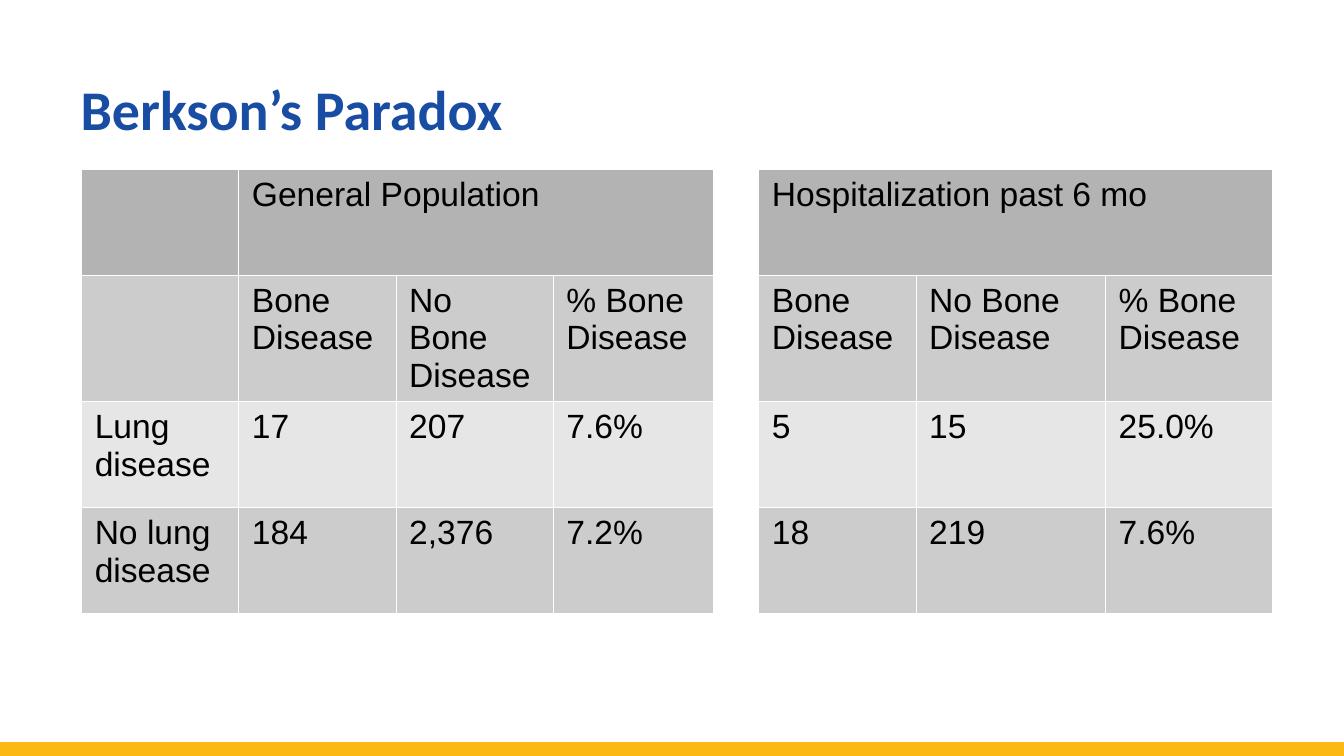
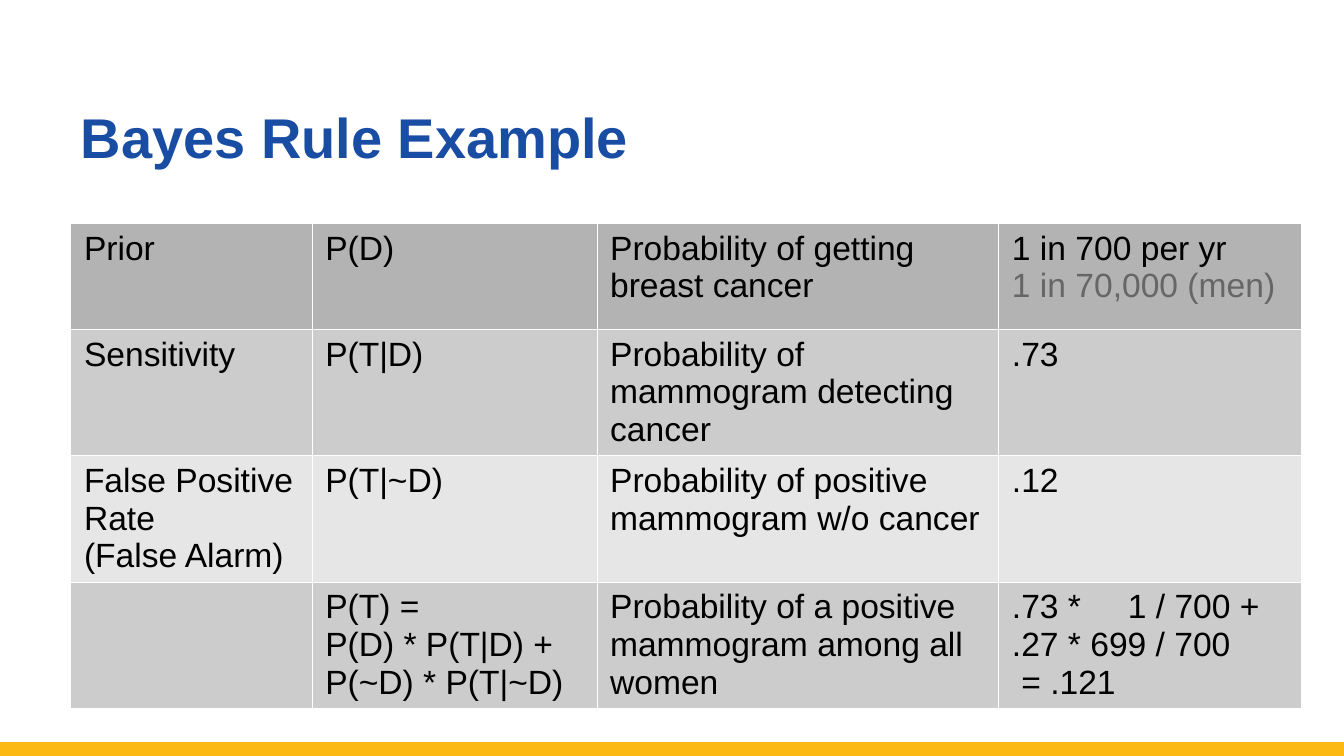
"""Build two table slides on Berkson's paradox and Bayes rule."""
from dataclasses import dataclass
from typing import NamedTuple

from lxml import etree
from pptx import Presentation
from pptx import util as u
from pptx.dml.color import RGBColor
from pptx.enum import shapes, text
from pptx.oxml import ns

PX = u.Inches(1) // 400
WIDTH, HEIGHT = 4000, 2250
ROW_HEIGHT = 315
FOOTER_Y = 2232

BLUE = RGBColor(0x18, 0x4D, 0xA3)
GOLD = RGBColor(0xFD, 0xB9, 0x13)
BLACK = RGBColor(0x00, 0x00, 0x00)
WHITE = RGBColor(0xFF, 0xFF, 0xFF)
MUTED = RGBColor(0x66, 0x66, 0x66)
DARK = RGBColor(0xB3, 0xB3, 0xB3)
MEDIUM = RGBColor(0xCC, 0xCC, 0xCC)
LIGHT = RGBColor(0xE6, 0xE6, 0xE6)
ROW_FILLS = (DARK, MEDIUM, LIGHT, MEDIUM)


class Line(NamedTuple):
    text: str
    colour: RGBColor = BLACK
    indent: int = 0
    tab: int = 0


class Span(NamedTuple):
    row: int
    first: int
    last: int


@dataclass(frozen=True)
class TablePage:
    title: str
    title_font: str
    title_anchor: text.MSO_ANCHOR
    left: int
    top: int
    columns: tuple[int, ...]
    rows: tuple[tuple[str | tuple[Line, ...], ...], ...]
    spans: tuple[Span, ...] = ()
    gap_column: int | None = None


BONE_HEADINGS = ("Bone Disease", "No Bone\nDisease", "% Bone\nDisease")

PAGES = (
    TablePage(
        "Berkson’s Paradox", "Calibri", text.MSO_ANCHOR.MIDDLE, 242, 504,
        (468, 468, 468, 476, 136, 468, 564, 496),
        (
            ("", "General Population", "", "", "", "Hospitalization past 6 mo", "", ""),
            ("", *BONE_HEADINGS, "", *BONE_HEADINGS),
            ("Lung disease", "17", "207", "7.6%", "", "5", "15", "25.0%"),
            ("No lung disease", "184", "2,376", "7.2%", "", "18", "219", "7.6%"),
        ),
        spans=(Span(0, 1, 3), Span(0, 5, 7)),
        gap_column=4,
    ),
    TablePage(
        "Bayes Rule Example", "Arial", text.MSO_ANCHOR.BOTTOM, 210, 664,
        (718, 848, 1196, 902),
        (
            ("Prior", "P(D)", "Probability of getting breast cancer",
             (Line("1 in 700 per yr"), Line("1 in 70,000 (men)", MUTED))),
            ("Sensitivity", "P(T|D)",
             "Probability of mammogram detecting cancer", ".73"),
            ("False Positive Rate\n(False Alarm)", "P(T|~D)",
             "Probability of positive mammogram w/o cancer", ".12"),
            ("", "P(T) =\nP(D) * P(T|D) + P(~D) * P(T|~D)",
             "Probability of a positive mammogram among all women",
             (Line(".73 *\t1 / 700 +", tab=345), Line(".27 * 699 / 700"),
              Line("= .121", indent=28))),
        ),
    ),
)


def add_title(page, spec: TablePage) -> None:
    box = page.shapes.title
    box.left, box.top, box.width, box.height = (n * PX for n in (200, 0, 3600, 524))
    frame = box.text_frame
    frame.text = spec.title
    frame.auto_size = text.MSO_AUTO_SIZE.NONE
    frame.vertical_anchor = spec.title_anchor
    para = frame.paragraphs[0]
    para.alignment = text.PP_ALIGN.LEFT
    para.line_spacing = u.Pt(58)
    font = para.font
    font.name, font.size, font.bold = spec.title_font, u.Pt(30), True
    font.color.rgb = BLUE


def add_footer(page) -> None:
    band = page.shapes.add_connector(
        shapes.MSO_CONNECTOR.STRAIGHT, 0, FOOTER_Y * PX, WIDTH * PX, FOOTER_Y * PX)
    band.line.color.rgb = GOLD
    band.line.width = u.Pt(8)
    etree.SubElement(band.element.spPr, ns.qn("a:effectLst"))


def add_borders(cell) -> None:
    properties = cell._tc.get_or_add_tcPr()
    for position, side in enumerate(("lnL", "lnR", "lnT", "lnB")):
        border = etree.Element(ns.qn(f"a:{side}"), w=str(u.Pt(0.06)))
        fill = etree.SubElement(border, ns.qn("a:solidFill"))
        etree.SubElement(fill, ns.qn("a:srgbClr"), val=str(WHITE))
        properties.insert(position, border)


def format_line(para, line: Line) -> None:
    para.text = line.text
    properties = para._p.get_or_add_pPr()
    if line.indent:
        properties.set("marL", str(line.indent * PX))
    if line.tab:
        stops = etree.SubElement(properties, ns.qn("a:tabLst"))
        etree.SubElement(stops, ns.qn("a:tab"), pos=str(line.tab * PX), algn="l")
    font = para.font
    font.name, font.size = "Arial", u.Pt(18)
    font.color.rgb = line.colour


def fill_cell(cell, content: str | tuple[Line, ...], colour: RGBColor) -> None:
    if isinstance(content, str):
        content = tuple(Line(part) for part in content.split("\n"))
    frame = cell.text_frame
    for number, line in enumerate(content):
        format_line(frame.add_paragraph() if number else frame.paragraphs[0], line)
    cell.fill.solid()
    cell.fill.fore_color.rgb = colour
    add_borders(cell)


def add_table(page, spec: TablePage) -> None:
    table = page.shapes.add_table(
        len(spec.rows), len(spec.columns), spec.left * PX, spec.top * PX,
        sum(spec.columns) * PX, len(spec.rows) * ROW_HEIGHT * PX).table
    table.first_row = table.horz_banding = False
    for column, width in zip(table.columns, spec.columns):
        column.width = width * PX
    for r, (contents, colour) in enumerate(zip(spec.rows, ROW_FILLS)):
        for c, content in enumerate(contents):
            fill_cell(table.cell(r, c), content, WHITE if c == spec.gap_column else colour)
    for span in spec.spans:
        table.cell(span.row, span.first).merge(table.cell(span.row, span.last))


def main() -> None:
    deck = Presentation()
    deck.slide_width, deck.slide_height = WIDTH * PX, HEIGHT * PX
    title_only = deck.slide_layouts.get_by_name("Title Only")
    for spec in PAGES:
        page = deck.slides.add_slide(title_only)
        add_footer(page)
        add_title(page, spec)
        add_table(page, spec)
    deck.save("out.pptx")


if __name__ == "__main__":
    main()
